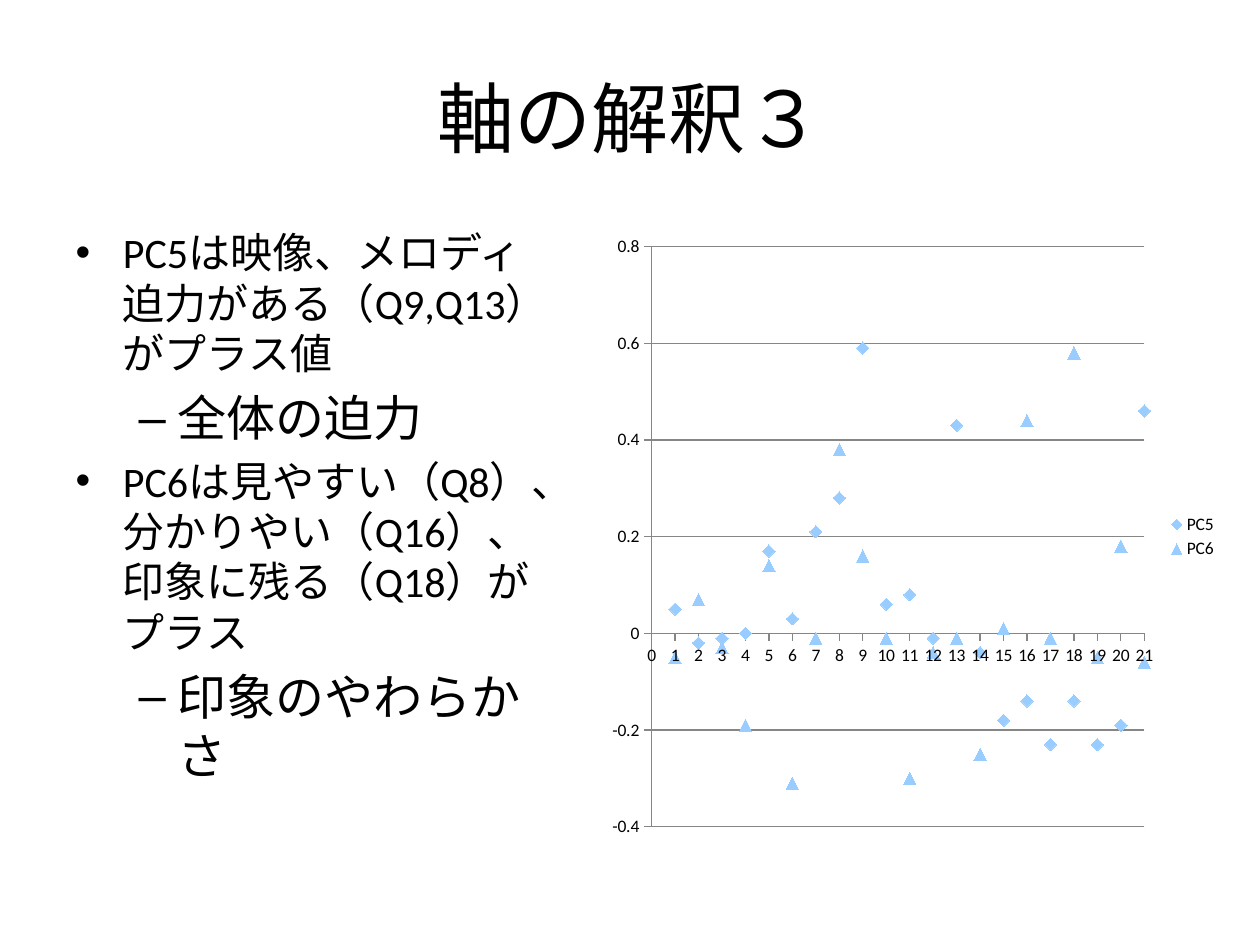
import pptx
import pptx.chart.data
import pptx.dml.color
import pptx.enum.chart
import pptx.enum.text
import pptx.util

Inches, Pt = pptx.util.Inches, pptx.util.Pt
chart_enum = pptx.enum.chart


def color(hex_string):
    return pptx.dml.color.RGBColor.from_string(hex_string)


def style_font(font, size):
    font.size = Pt(size)
    font.name = "Calibri"
    font.color.rgb = color("000000")


presentation = pptx.Presentation()
presentation.slide_width, presentation.slide_height = Inches(10), Inches(7.5)
slide = presentation.slides.add_slide(presentation.slide_layouts[3])
title, body, spare = slide.placeholders
spare.element.getparent().remove(spare.element)

# Title
title.left, title.top, title.width, title.height = map(Inches, (0.5, 0.3, 9, 1.25))
title.text_frame.text = "軸の解釈３"
style_font(title.text_frame.paragraphs[0].runs[0].font, 44)

# Interpretation list: findings with their meaning one level down
body.left, body.top, body.width, body.height = map(Inches, (0.5, 1.75, 4.03, 4.95))
items = [
    (0, "PC5は映像、メロディ迫力がある（Q9,Q13）がプラス値"),
    (1, "全体の迫力"),
    (0, "PC6は見やすい（Q8）、分かりやい（Q16）、印象に残る（Q18）がプラス"),
    (1, "印象のやわらかさ"),
]
body.text_frame.text = "\n".join(text for level, text in items)
body.text_frame.auto_size = pptx.enum.text.MSO_AUTO_SIZE.NONE
for paragraph, (level, text) in zip(body.text_frame.paragraphs, items):
    paragraph.level = level
    style_font(paragraph.runs[0].font, 28 if level else 24)

# Loadings per question, numbered from 1
loadings = {
    "PC5": [0.05, -0.02, -0.01, 0, 0.17, 0.03, 0.21, 0.28, 0.59, 0.06, 0.08,
            -0.01, 0.43, -0.04, -0.18, -0.14, -0.23, -0.14, -0.23, -0.19, 0.46],
    "PC6": [-0.05, 0.07, -0.03, -0.19, 0.14, -0.31, -0.01, 0.38, 0.16, -0.01, -0.3,
            -0.04, -0.01, -0.25, 0.01, 0.44, -0.01, 0.58, -0.05, 0.18, -0.06],
}
chart_data = pptx.chart.data.XyChartData()
for name, values in loadings.items():
    series_data = chart_data.add_series(name)
    for question, value in enumerate(values, 1):
        series_data.add_data_point(question, value)

# Scatter chart
chart = slide.shapes.add_chart(
    chart_enum.XL_CHART_TYPE.XY_SCATTER,
    Inches(4.76), Inches(1.78), Inches(5), Inches(4.96), chart_data).chart
style_font(chart.font, 10)
chart.has_title = False
chart.has_legend = True
chart.legend.position = chart_enum.XL_LEGEND_POSITION.RIGHT
chart.legend.include_in_layout = False
chart.plots[0].vary_by_categories = False

markers = [chart_enum.XL_MARKER_STYLE.DIAMOND, chart_enum.XL_MARKER_STYLE.TRIANGLE]
for series, marker_style in zip(chart.plots[0].series, markers):
    series.format.line.fill.background()
    series.marker.style = marker_style
    series.marker.size = 7
    series.marker.format.fill.solid()
    series.marker.format.fill.fore_color.rgb = color("99CCFF")
    series.marker.format.line.fill.background()

# Axes
question_axis, loading_axis = chart.category_axis, chart.value_axis
scales = [(question_axis, 0, 21, 1, "0"), (loading_axis, -0.4, 0.8, 0.2, "General")]
for axis, low, high, step, number_format in scales:
    axis.minimum_scale, axis.maximum_scale, axis.major_unit = low, high, step
    axis.major_tick_mark = chart_enum.XL_TICK_MARK.OUTSIDE
    axis.minor_tick_mark = chart_enum.XL_TICK_MARK.NONE
    axis.tick_labels.number_format = number_format
    axis.tick_labels.number_format_is_linked = False
    axis.format.line.color.rgb = color("868686")
    axis.format.line.width = Pt(0.75)
question_axis.has_major_gridlines = False
loading_axis.has_major_gridlines = True
gridline = loading_axis.major_gridlines.format.line
gridline.color.rgb = color("868686")
gridline.width = Pt(0.75)

presentation.save("out.pptx")
